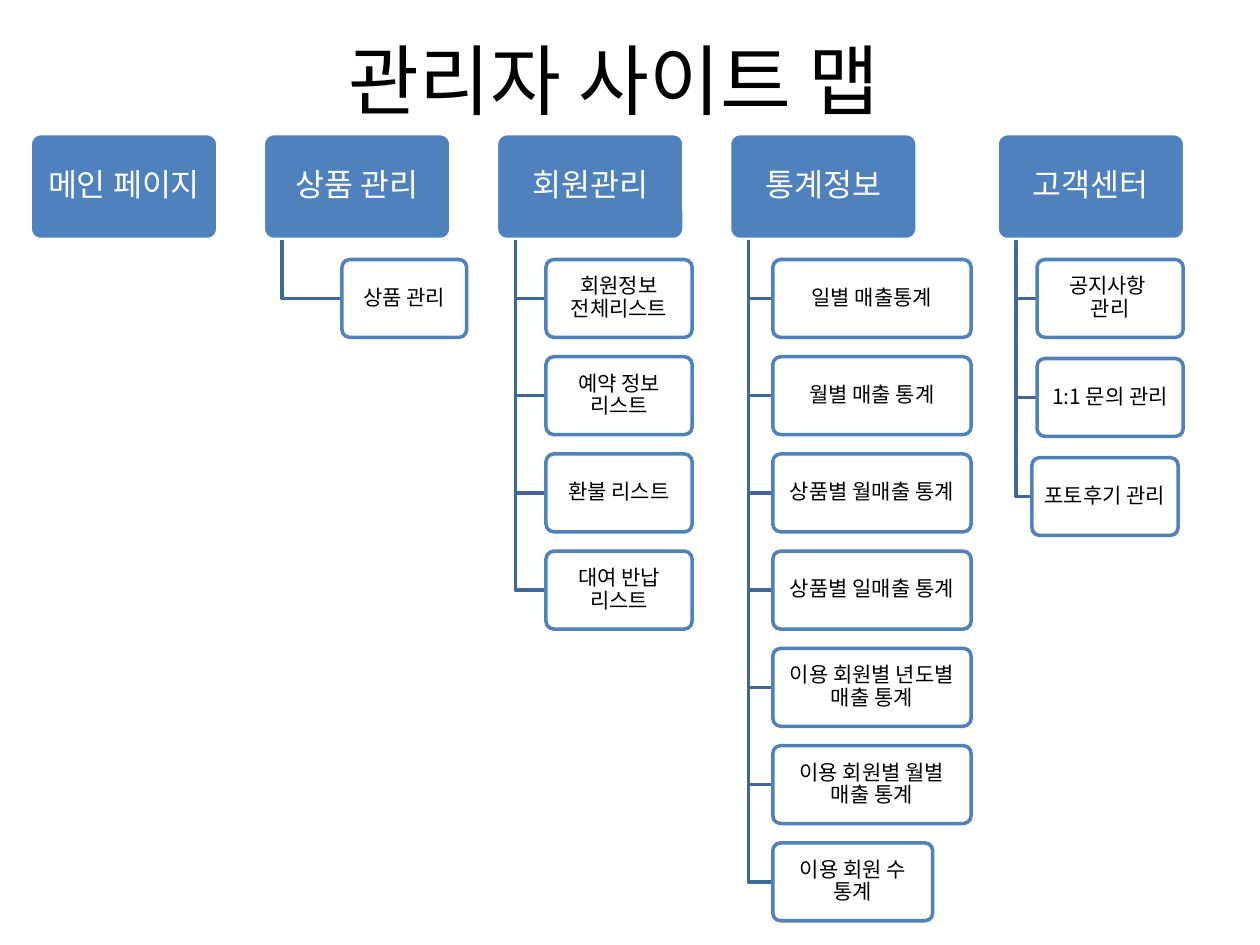
import pptx
import pptx.util
import pptx.dml.color
import pptx.enum.shapes
import pptx.enum.text
import pptx.oxml.ns
import lxml.etree

Pt = pptx.util.Pt
FONT = "Noto Sans CJK KR"
HEX = {"blue": "4F81BD", "navy": "3F6797", "white": "FFFFFF", "black": "000000"}

# Content: each column has a head, its left edge, and its child boxes;
# "last" gives the shift and width of a final box that differs
TITLE = "관리자 사이트 맵"
COLS = [
    {"head": "메인 페이지", "left": 17.3, "kids": []},
    {"head": "상품 관리", "left": 150.5, "kid_x": 195.4, "wide": 71.3,
     "kids": ["상품 관리"]},
    {"head": "회원관리", "left": 283.7, "kid_x": 312, "wide": 83.5,
     "kids": ["회원정보 전체리스트", "예약 정보 리스트", "환불 리스트",
              "대여 반납 리스트"]},
    {"head": "통계정보", "left": 416.9, "kid_x": 441.6, "wide": 113.3,
     "last": (0, 91.4),
     "kids": ["일별 매출통계", "월별 매출 통계", "상품별 월매출 통계",
              "상품별 일매출 통계", "이용 회원별 년도별 매출 통계",
              "이용 회원별 월별 매출 통계", "이용 회원 수 통계"]},
    {"head": "고객센터", "left": 569.8, "kid_x": 592.6, "wide": 83.5,
     "last": (-2.9, 83.5), "step": 56.6,
     "kids": ["공지사항 \n관리", "1:1 문의 관리", "포토후기 관리"]},
]

# Shared measures
HEAD_TOP, HEAD_W, HEAD_H = 76.4, 107.2, 60.5
KID_TOP, KID_H, STEP = 148.3, 44.5, 55.56
STEM_DX = 10.8

deck = pptx.Presentation()
deck.slide_width, deck.slide_height = Pt(720), Pt(540)
slide = deck.slides.add_slide(deck.slide_layouts[6])
shapes = slide.shapes


def color(name):
    return pptx.dml.color.RGBColor.from_string(HEX[name])


def write(shape, text, size=12, ink="black", pad=(3.6, 2.9), space=0.9):
    frame = shape.text_frame
    frame.word_wrap = True
    frame.vertical_anchor = pptx.enum.text.MSO_ANCHOR.MIDDLE
    frame.margin_left = frame.margin_right = Pt(pad[0])
    frame.margin_top = frame.margin_bottom = Pt(pad[1])
    para = frame.paragraphs[0]
    para.text = text
    para.alignment = pptx.enum.text.PP_ALIGN.CENTER
    para.line_spacing = space
    for run in para.runs:
        run.font.name = FONT
        run.font.size = Pt(size)
        run.font.color.rgb = color(ink)
        # Korean glyphs take the East Asian typeface
        east = lxml.etree.SubElement(run.font._element, pptx.oxml.ns.qn("a:ea"))
        east.set("typeface", FONT)


def box(x, y, w, h, fill, line, alpha=None):
    kind = pptx.enum.shapes.MSO_SHAPE.ROUNDED_RECTANGLE
    shape = shapes.add_shape(kind, Pt(x), Pt(y), Pt(w), Pt(h))
    shape.adjustments[0] = 0.1
    shape.shadow.inherit = False
    shape.fill.solid()
    shape.fill.fore_color.rgb = color(fill)
    shape.line.color.rgb = color(line)
    shape.line.width = Pt(2)
    if alpha:
        tint = shape._element.spPr.find(
            pptx.oxml.ns.qn("a:solidFill") + "/" + pptx.oxml.ns.qn("a:srgbClr"))
        node = lxml.etree.SubElement(tint, pptx.oxml.ns.qn("a:alpha"))
        node.set("val", str(alpha * 1000))
    return shape


def elbow(x, top, end, mid):
    path = shapes.build_freeform(Pt(x), Pt(top))
    path.add_line_segments([(Pt(x), Pt(mid)), (Pt(end), Pt(mid))], close=False)
    shape = path.convert_to_shape()
    shape.shadow.inherit = False
    shape.fill.background()
    shape.line.color.rgb = color("navy")
    shape.line.width = Pt(2)


# Columns
for col in COLS:
    head = box(col["left"], HEAD_TOP, HEAD_W, HEAD_H, "blue", "white")
    write(head, col["head"], size=18, ink="white", pad=(4.5, 4))
    for i, text in enumerate(col["kids"]):
        x, wide = col["kid_x"], col["wide"]
        if "last" in col and i == len(col["kids"]) - 1:
            shift, wide = col["last"]
            x += shift
        y = KID_TOP + i * col.get("step", STEP)
        elbow(col["left"] + STEM_DX, HEAD_TOP + HEAD_H, x, y + KID_H / 2)
        write(box(x, y, wide, KID_H, "white", "blue", alpha=90), text)

# Title
title = shapes.add_textbox(Pt(45), Pt(13.5), Pt(612), Pt(63))
write(title, TITLE, size=44, pad=(7.2, 3.6), space=1.0)

deck.save("out.pptx")
